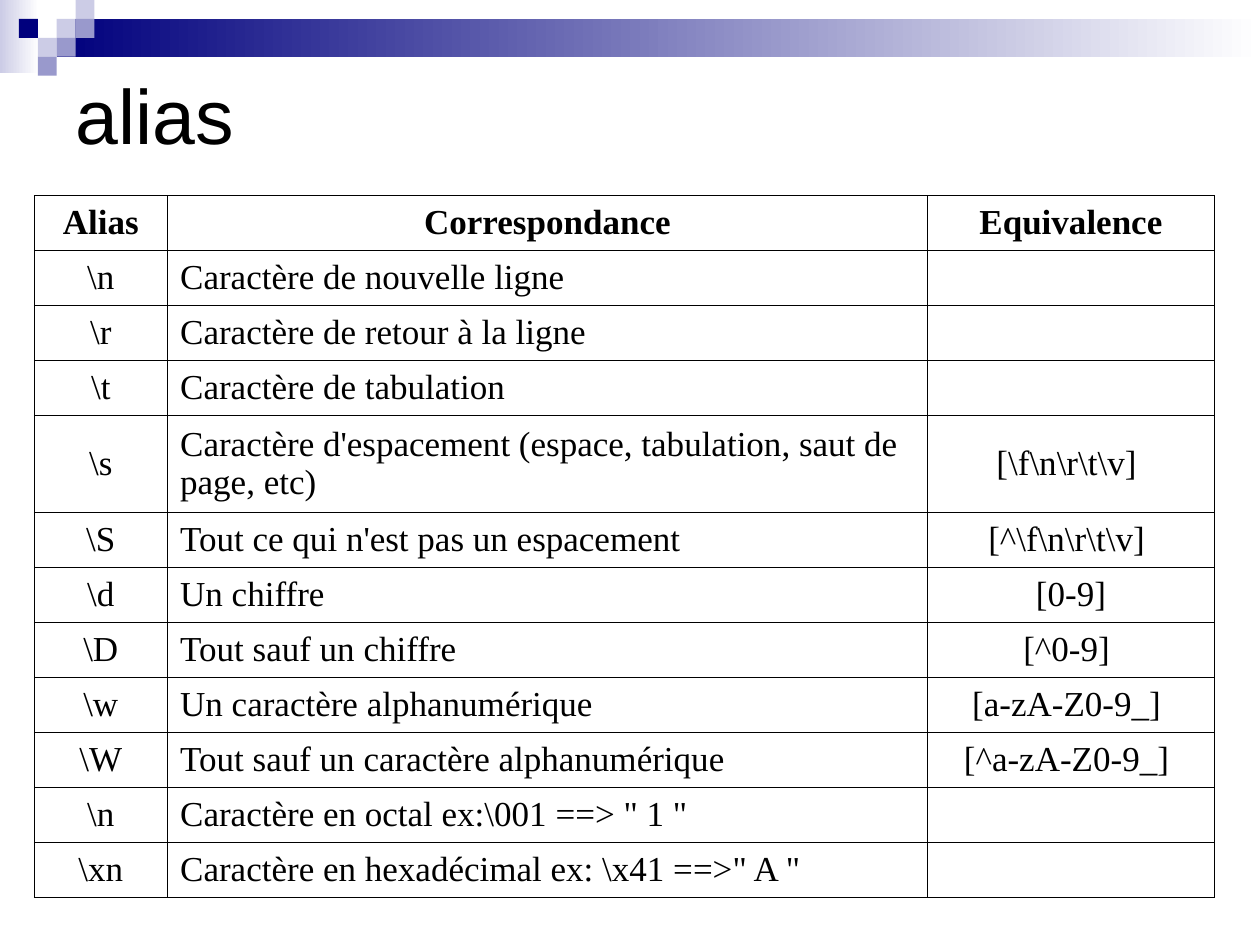
from dataclasses import dataclass

from lxml import etree
from pptx import Presentation
from pptx.dml.color import RGBColor
from pptx.enum.shapes import MSO_SHAPE
from pptx.enum.text import MSO_ANCHOR, PP_ALIGN
from pptx.oxml.ns import qn
from pptx.util import Inches, Pt

RECTANGLE = MSO_SHAPE.RECTANGLE
MIDDLE = MSO_ANCHOR.MIDDLE
LEFT, CENTER = PP_ALIGN.LEFT, PP_ALIGN.CENTER
TITLE_ONLY = 5


@dataclass(frozen=True)
class Theme:
    navy: str = "00007D"
    lavender: str = "CCCCE6"
    periwinkle: str = "9999CC"
    white: str = "FFFFFF"
    black: str = "000000"
    title_font: str = "Arial"
    table_font: str = "Times New Roman"
    title_size: int = 44
    table_size: int = 20
    border_width: float = 0.34


THEME = Theme()

HEADINGS = ("Alias", "Correspondance", "Equivalence")
ALIASES = [
    (r"\n", "Caractère de nouvelle ligne", ""),
    (r"\r", "Caractère de retour à la ligne", ""),
    (r"\t", "Caractère de tabulation", ""),
    (r"\s", "Caractère d'espacement (espace, tabulation, saut de page, etc)",
     r"[\f\n\r\t\v] "),
    (r"\S", "Tout ce qui n'est pas un espacement", r"[^\f\n\r\t\v] "),
    (r"\d", "Un chiffre", "[0-9]"),
    (r"\D", "Tout sauf un chiffre", "[^0-9] "),
    (r"\w", "Un caractère alphanumérique", "[a-zA-Z0-9_] "),
    (r"\W", "Tout sauf un caractère alphanumérique", "[^a-zA-Z0-9_] "),
    (r"\n", r'Caractère en octal ex:\001 ==> " 1 "', ""),
    (r"\xn", r'Caractère en hexadécimal ex: \x41 ==>" A "', ""),
]
COLUMN_WIDTHS = (1.06, 6.03, 2.28)
TWO_LINE_ROW = 4
TWO_LINE_HEIGHT = 0.77


def color(value):
    return RGBColor.from_string(value)


def style_text(paragraph, font, size, bold=False, align=LEFT):
    paragraph.alignment = align
    paragraph.font.name = font
    paragraph.font.size = Pt(size)
    paragraph.font.bold = bold
    paragraph.font.color.rgb = color(THEME.black)


def add_block(slide, left, top, width, height, start, end=None):
    block = slide.shapes.add_shape(
        RECTANGLE, Inches(left), Inches(top), Inches(width), Inches(height))
    block.shadow.inherit = False
    block.line.fill.background()
    if end is None:
        block.fill.solid()
        block.fill.fore_color.rgb = color(start)
    else:
        block.fill.gradient()
        block.fill.gradient_angle = 0
        for stop, shade in zip(block.fill.gradient_stops, (start, end)):
            stop.color.rgb = color(shade)


def add_banner(slide, left, top, width):
    unit = 0.15
    add_block(slide, left, top, 0.31, 0.58, THEME.lavender, THEME.white)
    add_block(slide, left + 3 * unit, top + unit, width - 3 * unit, 2 * unit,
              THEME.navy, THEME.white)
    squares = [
        (3, 1, THEME.lavender), (4, 0, THEME.lavender),
        (4, 1, THEME.periwinkle), (2, 2, THEME.lavender),
        (1, 1, THEME.navy), (3, 2, THEME.periwinkle),
        (2, 3, THEME.periwinkle),
    ]
    for column, row, shade in squares:
        add_block(slide, left + column * unit, top + row * unit,
                  unit, unit, shade)


def add_title(slide, left, top, width, height):
    title = slide.shapes.title
    title.left, title.top = Inches(left), Inches(top)
    title.width, title.height = Inches(width), Inches(height)
    title.text_frame.text = "alias"
    title.text_frame.vertical_anchor = MIDDLE
    style_text(title.text_frame.paragraphs[0],
               THEME.title_font, THEME.title_size)


def add_borders(cell):
    properties = cell._tc.get_or_add_tcPr()
    for position, side in enumerate(("a:lnL", "a:lnR", "a:lnT", "a:lnB")):
        border = etree.Element(qn(side), w=str(Pt(THEME.border_width)))
        fill = etree.SubElement(border, qn("a:solidFill"))
        etree.SubElement(fill, qn("a:srgbClr"), val=THEME.black)
        properties.insert(position, border)


def add_alias_table(slide, left, top, width, height):
    rows = [HEADINGS, *ALIASES]
    table = slide.shapes.add_table(
        len(rows), len(HEADINGS), Inches(left), Inches(top),
        Inches(width), Inches(height)).table
    table.first_row = table.horz_banding = False
    for column, column_width in zip(table.columns, COLUMN_WIDTHS):
        column.width = Inches(column_width)
    row_height = (height - TWO_LINE_HEIGHT) / (len(rows) - 1)
    for r, texts in enumerate(rows):
        table.rows[r].height = Inches(
            TWO_LINE_HEIGHT if r == TWO_LINE_ROW else row_height)
        for c, text in enumerate(texts):
            cell = table.cell(r, c)
            cell.text = text
            cell.vertical_anchor = MIDDLE
            cell.fill.background()
            add_borders(cell)
            style_text(cell.text_frame.paragraphs[0], THEME.table_font,
                       THEME.table_size, bold=r == 0,
                       align=LEFT if r and c == 1 else CENTER)


def main():
    deck = Presentation()
    deck.slide_width, deck.slide_height = Inches(10), Inches(7.5)
    slide = deck.slides.add_slide(deck.slide_layouts[TITLE_ONLY])
    add_banner(slide, 0, 0, 10)
    add_title(slide, 0.5, 0.5, 9.5, 0.81)
    add_alias_table(slide, 0.27, 1.55, sum(COLUMN_WIDTHS), 5.57)
    deck.save("out.pptx")


if __name__ == "__main__":
    main()
